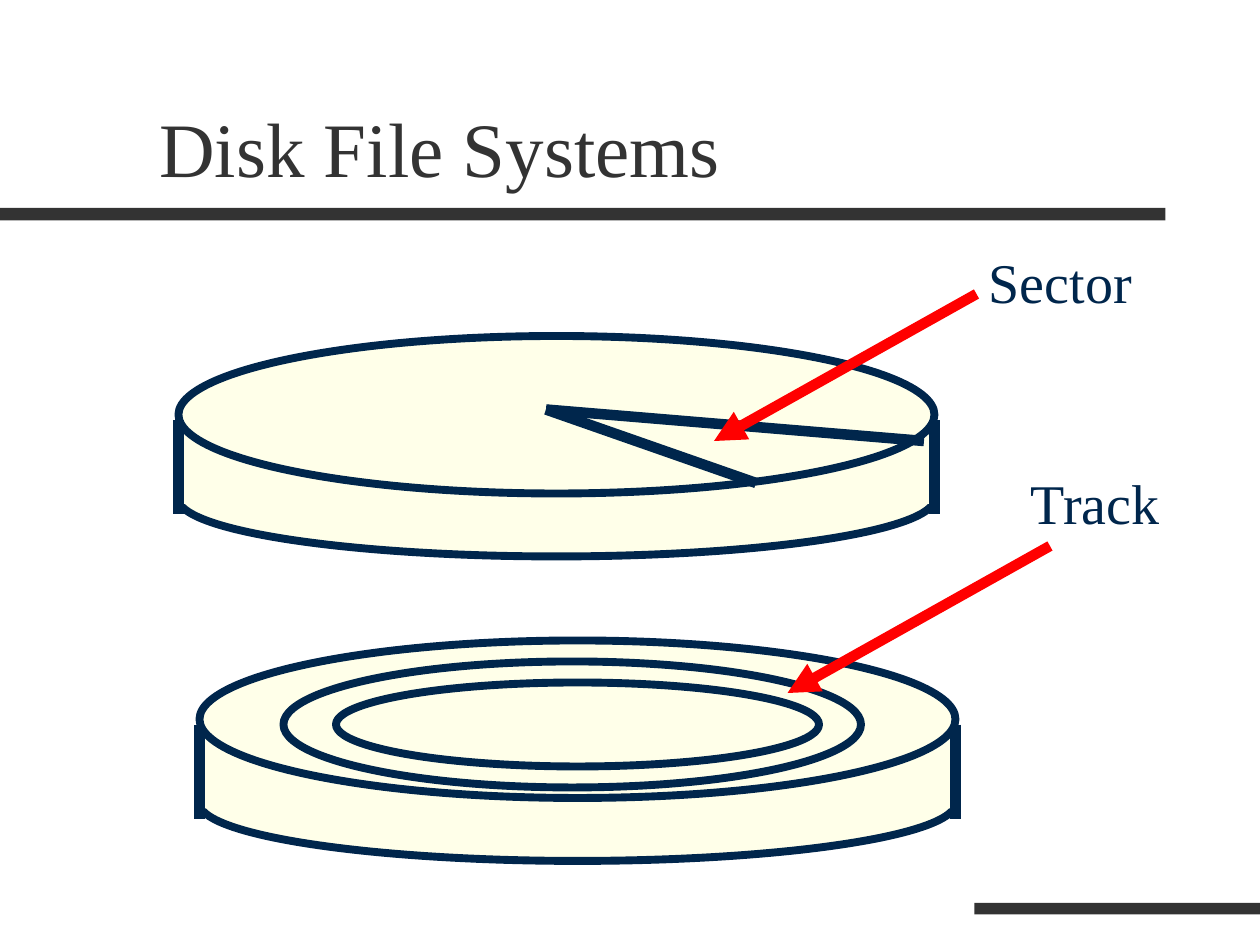
from dataclasses import dataclass

from lxml import etree
from pptx import Presentation
from pptx.dml.color import RGBColor
from pptx.enum.shapes import MSO_CONNECTOR, MSO_SHAPE
from pptx.enum.text import MSO_ANCHOR
from pptx.oxml.ns import qn
from pptx.slide import Slide
from pptx.util import Inches, Pt

OVAL = MSO_SHAPE.OVAL
RECTANGLE = MSO_SHAPE.RECTANGLE
STRAIGHT = MSO_CONNECTOR.STRAIGHT
TOP = MSO_ANCHOR.TOP
BOTTOM = MSO_ANCHOR.BOTTOM

CHARCOAL = RGBColor(0x33, 0x33, 0x33)
IVORY = RGBColor(0xFF, 0xFF, 0xE9)
NAVY = RGBColor(0x00, 0x26, 0x4C)
RED = RGBColor(0xFF, 0x00, 0x00)

FONT = "Times New Roman"
SLIDE_WIDTH = Inches(10)
SLIDE_HEIGHT = Inches(7.5)
COLUMNS = 120
CELL = SLIDE_WIDTH / COLUMNS
OUTLINE = 4.5
STROKE = 6


@dataclass(frozen=True)
class Point:
    col: float
    row: float


@dataclass(frozen=True)
class Box:
    col: float
    row: float
    cols: float
    rows: float


@dataclass(frozen=True)
class Disk:
    col: int
    row: int
    cols: int = 72
    face_rows: int = 15
    base_rows: int = 11


@dataclass(frozen=True)
class Callout:
    text: str
    box: Box
    tail: Point
    tip: Point


RULES = (Box(0, 19.8, 111, 1.2), Box(92.8, 86, 27.2, 1.1))
TITLE = Box(14, 4, 102, 15)
SECTOR_DISK = Disk(17, 32)
TRACK_DISK = Disk(19, 61)
SECTOR_CENTER = Point(52, 39)
SECTOR_RIM = (Point(72, 46), Point(88, 42))
TRACK_RINGS = (Box(27, 63, 55, 12), Box(32, 65, 46, 8))
SECTOR = Callout("Sector", Box(93, 23, 23, 7.7), Point(93, 28), Point(68, 42))
TRACK = Callout("Track", Box(97, 44, 23, 7.7), Point(100, 52), Point(75, 66))


def cells(count: float) -> int:
    return round(count * CELL)


def draw_shape(slide: Slide, kind: MSO_SHAPE, box: Box, fill: RGBColor,
               outlined: bool = False) -> None:
    shape = slide.shapes.add_shape(
        kind, cells(box.col), cells(box.row), cells(box.cols), cells(box.rows))
    shape.shadow.inherit = False
    shape.fill.solid()
    shape.fill.fore_color.rgb = fill
    if outlined:
        shape.line.color.rgb = NAVY
        shape.line.width = Pt(OUTLINE)
    else:
        shape.line.fill.background()


def draw_line(slide: Slide, start: Point, end: Point, color: RGBColor,
              arrow: bool = False) -> None:
    line = slide.shapes.add_connector(
        STRAIGHT, cells(start.col), cells(start.row),
        cells(end.col), cells(end.row))
    line.line.color.rgb = color
    line.line.width = Pt(STROKE)
    if arrow:
        etree.SubElement(line.line._get_or_add_ln(), qn("a:tailEnd"),
                         type="triangle")
    etree.SubElement(line._element.spPr, qn("a:effectLst"))


def draw_text(slide: Slide, text: str, box: Box, size: int, color: RGBColor,
              anchor: MSO_ANCHOR) -> None:
    frame = slide.shapes.add_textbox(
        cells(box.col), cells(box.row), cells(box.cols), cells(box.rows)
    ).text_frame
    frame.word_wrap = True
    frame.vertical_anchor = anchor
    run = frame.paragraphs[0].add_run()
    run.text = text
    run.font.name = FONT
    run.font.size = Pt(size)
    run.font.color.rgb = color


def draw_disk(slide: Slide, disk: Disk) -> None:
    wall_row = disk.row + 8
    base = Box(disk.col, disk.row + 10, disk.cols, disk.base_rows)
    wall = Box(disk.col, wall_row, disk.cols, 8)
    face = Box(disk.col, disk.row, disk.cols, disk.face_rows)
    draw_shape(slide, OVAL, base, IVORY, outlined=True)
    draw_shape(slide, RECTANGLE, wall, IVORY)
    draw_shape(slide, OVAL, face, IVORY, outlined=True)
    for col in (disk.col, disk.col + disk.cols):
        draw_line(slide, Point(col, wall_row), Point(col, wall_row + 9), NAVY)


def draw_callout(slide: Slide, callout: Callout) -> None:
    draw_line(slide, callout.tail, callout.tip, RED, arrow=True)
    draw_text(slide, callout.text, callout.box, 32, NAVY, TOP)


def main() -> None:
    deck = Presentation()
    deck.slide_width = SLIDE_WIDTH
    deck.slide_height = SLIDE_HEIGHT
    slide = deck.slides.add_slide(deck.slide_layouts[6])

    for rule in RULES:
        draw_shape(slide, RECTANGLE, rule, CHARCOAL)
    draw_text(slide, "Disk File Systems", TITLE, 44, CHARCOAL, BOTTOM)

    draw_disk(slide, SECTOR_DISK)
    for rim in SECTOR_RIM:
        draw_line(slide, SECTOR_CENTER, rim, NAVY)
    draw_callout(slide, SECTOR)

    draw_disk(slide, TRACK_DISK)
    for ring in TRACK_RINGS:
        draw_shape(slide, OVAL, ring, IVORY, outlined=True)
    draw_callout(slide, TRACK)

    deck.save("out.pptx")


if __name__ == "__main__":
    main()
